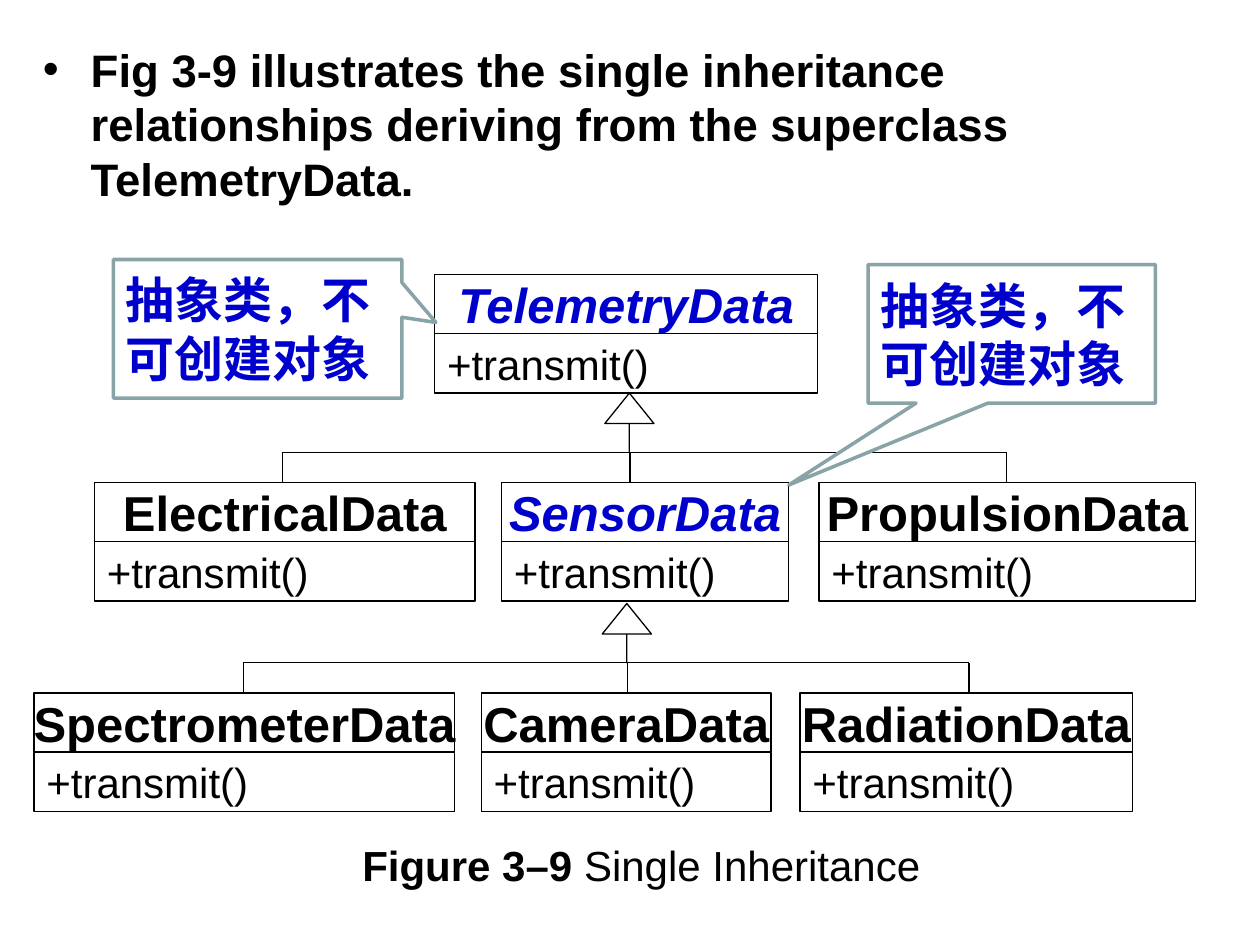
from lxml import etree
from pptx import Presentation, util as u
from pptx.dml.color import RGBColor
from pptx.enum import shapes, text
from pptx.oxml import ns

PX = 9144
COLORS = {"ink": "000000", "abstract": "0000CC", "paper": "FFFFFF", "callout": "89A4A7"}
ROW = 47
CLASS_GAP = 1


def px(*lengths):
    """Turn whole px into EMU."""
    return [u.Emu(length * PX) for length in lengths]


def color(name):
    """Look up a colour by its role."""
    return RGBColor.from_string(COLORS[name])


def add_run(paragraph, words, size, tint="ink", bold=False, italic=False, face="Arial"):
    """Add one formatted run, with the same face for East Asian text."""
    run = paragraph.add_run()
    run.text = words
    font = run.font
    font.size, font.bold, font.italic, font.name = u.Pt(size), bold, italic, face
    font.color.rgb = color(tint)
    etree.SubElement(font._element, ns.qn("a:ea"), typeface=face)


def add_outline(slide, kind, box, line="ink", width=0.75):
    """Add a white preset shape with a plain outline."""
    shape = slide.shapes.add_shape(kind, *px(*box))
    shape.shadow.inherit = False
    shape.fill.solid()
    shape.fill.fore_color.rgb = color("paper")
    shape.line.color.rgb = color(line)
    shape.line.width = u.Pt(width)
    return shape


def add_line(slide, *ends):
    """Add a thin straight line."""
    line = slide.shapes.add_connector(shapes.MSO_CONNECTOR.STRAIGHT, *px(*ends))
    line.line.color.rgb = color("ink")
    line.line.width = u.Pt(0.75)
    etree.SubElement(line._element.spPr, ns.qn("a:effectLst"))


def add_class(slide, left, top, width, name, abstract=False):
    """Draw a class box: its name above its operation."""
    rows = [
        (name, text.PP_ALIGN.CENTER, 28, "abstract" if abstract else "ink", True, abstract),
        ("+transmit()", text.PP_ALIGN.LEFT, 24, "ink", False, False),
    ]
    for index, (words, align, *style) in enumerate(rows):
        box = (left, top + index * ROW, width, ROW)
        shape = add_outline(slide, shapes.MSO_SHAPE.RECTANGLE, box)
        frame = shape.text_frame
        frame.word_wrap = False
        frame.vertical_anchor = text.MSO_ANCHOR.MIDDLE
        paragraph = frame.paragraphs[0]
        paragraph.alignment = align
        add_run(paragraph, words, *style)


def add_inheritance(slide, arrow_left, top, branches, classes):
    """Join a row of subclasses to the superclass whose bottom is at top."""
    bar = top + ROW
    add_line(slide, branches[0], bar, branches[-1], bar)
    for branch in branches:
        add_line(slide, branch, bar, branch, bar + ROW)
    for left, width, name, *abstract in classes:
        add_class(slide, left, bar + 24, width, name, *abstract)
    arrow = add_outline(slide, shapes.MSO_SHAPE.UP_ARROW, (arrow_left, top, 39, ROW))
    arrow.adjustments[0], arrow.adjustments[1] = 0, 0.62


def add_callout(slide, box, tip):
    """Draw an abstract-class remark pointing at tip."""
    shape = add_outline(slide, shapes.MSO_SHAPE.RECTANGULAR_CALLOUT, box, "callout", 2)
    left, top, width, height = box
    shape.adjustments[0] = (tip[0] - left) / width - 0.5
    shape.adjustments[1] = (tip[1] - top) / height - 0.5
    frame = shape.text_frame
    frame.word_wrap = True
    frame.vertical_anchor = text.MSO_ANCHOR.MIDDLE
    for index, words in enumerate(("抽象类，不", "可创建对象")):
        paragraph = frame.add_paragraph() if index else frame.paragraphs[0]
        paragraph.alignment = text.PP_ALIGN.LEFT
        add_run(paragraph, words, 28, "abstract", True, face="Noto Sans CJK SC")


def add_statement(slide, box):
    """Place the bulleted statement in the body placeholder."""
    body = slide.placeholders[1]
    body.left, body.top, body.width, body.height = px(*box)
    frame = body.text_frame
    frame.margin_left = frame.margin_right = 0
    frame.word_wrap = True
    frame.vertical_anchor = text.MSO_ANCHOR.TOP
    paragraph = frame.paragraphs[0]
    paragraph.space_before = u.Pt(0)
    properties = paragraph._p.get_or_add_pPr()
    properties.set("marL", str(38 * PX))
    properties.set("indent", str(-38 * PX))
    etree.SubElement(properties, ns.qn("a:buFont"), typeface="Arial")
    etree.SubElement(properties, ns.qn("a:buChar"), char="•")
    add_run(
        paragraph,
        "Fig 3-9 illustrates the single inheritance relationships "
        "deriving from the superclass TelemetryData.",
        26,
        bold=True,
    )


def add_caption(slide, box):
    """Place the centred figure caption."""
    frame = slide.shapes.add_textbox(*px(*box)).text_frame
    frame.word_wrap = True
    paragraph = frame.paragraphs[0]
    paragraph.alignment = text.PP_ALIGN.CENTER
    paragraph.line_spacing = 0.9
    add_run(paragraph, "Figure 3–9 ", 24, bold=True)
    add_run(paragraph, "Single Inheritance", 24)


def main():
    """Build the single inheritance slide."""
    presentation = Presentation()
    presentation.slide_width, presentation.slide_height = px(1000, 750)
    slide = presentation.slides.add_slide(presentation.slide_layouts[1])
    title = slide.shapes.title._element
    title.getparent().remove(title)
    add_statement(slide, (34, 28, 930, 150))
    add_class(slide, 345, 218, 304, "TelemetryData", True)
    add_inheritance(slide, 480, 312, (224, 500, 799), [
        (75, 302, "ElectricalData"),
        (398, 228, "SensorData", True),
        (650, 299, "PropulsionData"),
    ])
    add_inheritance(slide, 478, 479, (193, 498, 769), [
        (27, 334, "SpectrometerData"),
        (382, 230, "CameraData"),
        (635, 264, "RadiationData"),
    ])
    add_caption(slide, (59, 666, 900, 59))
    add_callout(slide, (90, 206, 229, 110), (346, 256))
    add_callout(slide, (689, 210, 228, 110), (626, 385))
    presentation.save("out.pptx")


if __name__ == "__main__":
    main()
